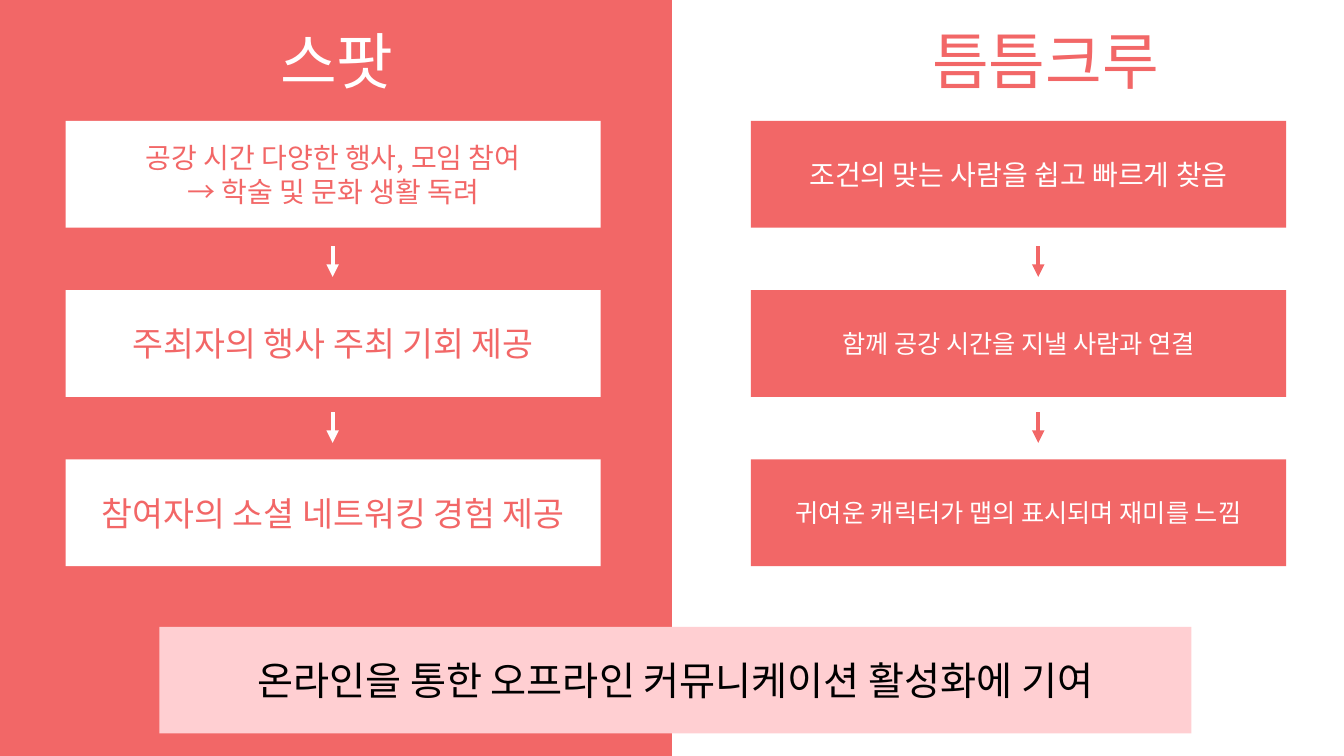
import pptx
import pptx.dml.color
import pptx.enum.shapes
import pptx.enum.text
import pptx.oxml.ns
import pptx.util
from lxml import etree

Pt = pptx.util.Pt
ALIGN = pptx.enum.text.PP_ALIGN
FONT = "Noto Sans CJK KR"
CORAL, WHITE, PINK, BLACK = "F26767", "FFFFFF", "FFCFD2", "000000"

# Content: each step is (text, size)
COLUMNS = [
    {
        "title": "스팟", "title_left": 193, "title_width": 103.7, "title_align": ALIGN.LEFT,
        "left": 46.8, "arrow_x": 237.6, "fill": WHITE, "color": CORAL,
        "steps": [
            ("공강 시간 다양한 행사, 모임 참여\n→ 학술 및 문화 생활 독려", 20),
            ("주최자의 행사 주최 기회 제공", 24),
            ("참여자의 소셜 네트워킹 경험 제공", 24),
        ],
    },
    {
        "title": "틈틈크루", "title_left": 613.4, "title_width": 267.1, "title_align": ALIGN.CENTER,
        "left": 536.4, "arrow_x": 741.6, "fill": CORAL, "color": WHITE,
        "steps": [
            ("조건의 맞는 사람을 쉽고 빠르게 찾음", 20),
            ("함께 공강 시간을 지낼 사람과 연결", 18),
            ("귀여운 캐릭터가 맵의 표시되며 재미를 느낌", 18),
        ],
    },
]
CONCLUSION = "온라인을 통한 오프라인 커뮤니케이션 활성화에 기여"

# Layout
SLIDE_WIDTH, SLIDE_HEIGHT = 960, 540
BOX_WIDTH, BOX_HEIGHT = 382.3, 76.2
FIRST_BOX_TOP, BOX_PITCH = 86.4, 120.9
FIRST_ARROW_TOP, ARROW_PITCH, ARROW_LENGTH = 175.8, 118.6, 22

presentation = pptx.Presentation()
presentation.slide_width = Pt(SLIDE_WIDTH)
presentation.slide_height = Pt(SLIDE_HEIGHT)
slide = presentation.slides.add_slide(presentation.slide_layouts[6])


def rgb(color):
    return pptx.dml.color.RGBColor.from_string(color)


def write_text(shape, text, size, color, align=ALIGN.CENTER,
               anchor=pptx.enum.text.MSO_ANCHOR.MIDDLE):
    frame = shape.text_frame
    frame.word_wrap = True
    frame.vertical_anchor = anchor
    frame.text = text
    for paragraph in frame.paragraphs:
        paragraph.alignment = align
        for run in paragraph.runs:
            run.font.size = Pt(size)
            run.font.name = FONT
            run.font.color.rgb = rgb(color)
            east_asian = etree.SubElement(run.font._element, pptx.oxml.ns.qn("a:ea"))
            east_asian.set("typeface", FONT)


def add_box(left, top, width, height, fill):
    shape = slide.shapes.add_shape(
        pptx.enum.shapes.MSO_SHAPE.RECTANGLE, Pt(left), Pt(top), Pt(width), Pt(height))
    shape.shadow.inherit = False
    shape.fill.solid()
    shape.fill.fore_color.rgb = rgb(fill)
    shape.line.fill.background()
    return shape


def add_arrow(x, top, color):
    arrow = slide.shapes.add_connector(
        pptx.enum.shapes.MSO_CONNECTOR.STRAIGHT, Pt(x), Pt(top), Pt(x), Pt(top + ARROW_LENGTH))
    arrow.line.width = Pt(3)
    arrow.line.color.rgb = rgb(color)
    tail = etree.SubElement(arrow.line._get_or_add_ln(), pptx.oxml.ns.qn("a:tailEnd"))
    tail.set("type", "triangle")
    etree.SubElement(arrow._element.spPr, pptx.oxml.ns.qn("a:effectLst"))


# Left half background
add_box(0, 0, SLIDE_WIDTH / 2, SLIDE_HEIGHT, CORAL)

# Columns: title, step boxes and the arrows between them
for column in COLUMNS:
    title = slide.shapes.add_textbox(
        Pt(column["title_left"]), Pt(13), Pt(column["title_width"]), Pt(60.5))
    write_text(title, column["title"], 44, column["fill"], align=column["title_align"],
               anchor=pptx.enum.text.MSO_ANCHOR.TOP)
    for index, (text, size) in enumerate(column["steps"]):
        box = add_box(column["left"], FIRST_BOX_TOP + index * BOX_PITCH,
                      BOX_WIDTH, BOX_HEIGHT, column["fill"])
        write_text(box, text, size, column["color"])
        if index:
            add_arrow(column["arrow_x"], FIRST_ARROW_TOP + (index - 1) * ARROW_PITCH,
                      column["fill"])

# Conclusion banner
banner = add_box(113.8, 447.8, 737.3, BOX_HEIGHT, PINK)
write_text(banner, CONCLUSION, 28, BLACK)

presentation.save("out.pptx")
